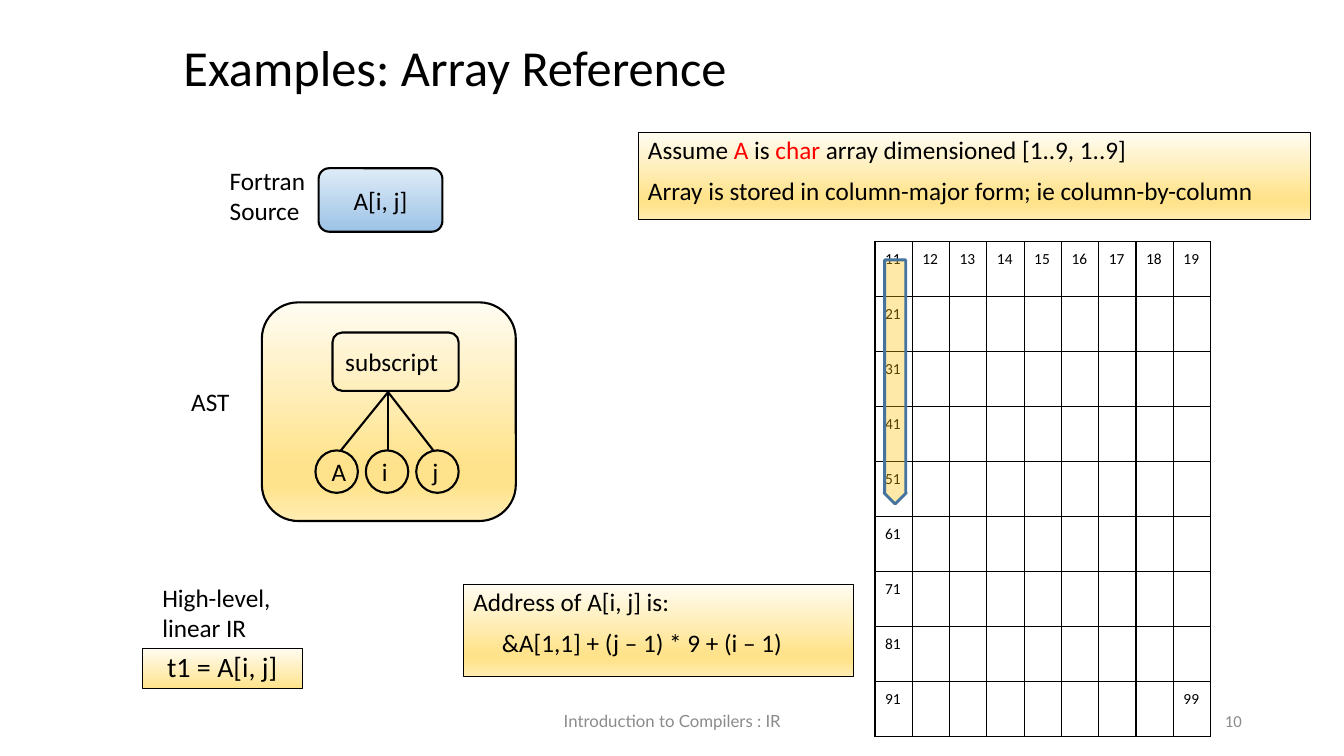
"""Builds the slide on array references, their AST, linear IR and address formula."""
from lxml.etree import SubElement
from pptx import Presentation
from pptx.dml.color import RGBColor
from pptx.enum.shapes import MSO_CONNECTOR, MSO_SHAPE
from pptx.enum.text import MSO_ANCHOR, PP_ALIGN
from pptx.oxml.ns import qn
from pptx.util import Cm, Pt

COLOURS = {
    "black": "000000", "red": "FF0000", "grey": "8B8B8B",
    "cream": "FFFCF2", "gold": "FFE38C", "pale gold": "FFECB2",
    "light blue": "DEEBF7", "blue": "9DC3E6",
    "arrow": "FFC000", "arrow edge": "43739E",
}
GOLD_BAND = [(0, "cream"), (74, "gold"), (83, "gold"), (100, "pale gold")]
GOLD_FADE = [(0, "cream"), (100, "gold")]
BLUE_FADE = [(0, "light blue"), (100, "blue")]


def add_box(kind, left, top, width, height, line_width, stops=()):
    """Adds an outlined shape, filled with a downward gradient if stops are given."""
    shape = slide.shapes.add_shape(kind, Cm(left), Cm(top), Cm(width), Cm(height))
    shape.shadow.inherit = False
    shape.line.color.rgb = RGBColor.from_string(COLOURS["black"])
    shape.line.width = Pt(line_width)
    if not stops:
        shape.fill.background()
        return shape
    shape.fill.gradient()
    shape.fill.gradient_angle = 270
    stop_list = shape._element.spPr.find(qn("a:gradFill")).find(qn("a:gsLst"))
    for old_stop in list(stop_list):
        stop_list.remove(old_stop)
    for position, colour in stops:
        stop = SubElement(stop_list, qn("a:gs"), pos=str(position * 1000))
        SubElement(stop, qn("a:srgbClr"), val=COLOURS[colour])
    return shape


def write(shape, text, size=18, colour="black", font="Calibri", align=PP_ALIGN.LEFT,
          anchor=MSO_ANCHOR.TOP, wrap=True, spacing=None):
    """Fills a shape or cell with text, one paragraph a line."""
    frame = shape.text_frame
    frame.word_wrap = wrap
    frame.vertical_anchor = anchor
    frame.text = text
    for index, paragraph in enumerate(frame.paragraphs):
        paragraph.alignment = align
        paragraph.line_spacing = spacing
        if index:
            paragraph.space_before = Pt(10)
        paragraph.font.name = font
        paragraph.font.size = Pt(size)
        paragraph.font.color.rgb = RGBColor.from_string(COLOURS[colour])
    return frame


presentation = Presentation()
presentation.slide_width = Cm(33.87)
presentation.slide_height = Cm(19.05)
slide = presentation.slides.add_slide(presentation.slide_layouts[5])

title = slide.shapes.title
title.left, title.top, title.width, title.height = Cm(4.37), Cm(0.61), Cm(21.89), Cm(2.31)
write(title, "Examples: Array Reference", size=36, anchor=MSO_ANCHOR.MIDDLE, spacing=0.9)

add_box(MSO_SHAPE.ROUNDED_RECTANGLE, 6.6, 7.62, 6.4, 5.51, 1.5, GOLD_BAND)
subscript = add_box(MSO_SHAPE.ROUNDED_RECTANGLE, 8.38, 8.38, 3.18, 1.47, 1.5)
write(subscript, "subscript", anchor=MSO_ANCHOR.MIDDLE, wrap=False)

for index, (name, branch_end) in enumerate([("A", 8.59), ("i", 9.78), ("j", 10.92)]):
    leaf = add_box(MSO_SHAPE.OVAL, 7.95 + 1.27 * index, 11.35, 1.07, 1.07, 1.5)
    write(leaf, name, anchor=MSO_ANCHOR.MIDDLE, wrap=False)
    branch = slide.shapes.add_connector(
        MSO_CONNECTOR.STRAIGHT, Cm(9.78), Cm(9.88), Cm(branch_end), Cm(11.35))
    branch.line.color.rgb = RGBColor.from_string(COLOURS["black"])
    branch.line.width = Pt(1.5)
    SubElement(branch._element.spPr, qn("a:effectLst"))

for text, left, top, width, height in [
    ("AST", 4.57, 9.6, 2.24, 1.02),
    ("High-level, linear IR", 3.84, 14.55, 4.04, 1.78),
    ("Fortran Source", 5.54, 4.04, 2.46, 2.54),
]:
    write(slide.shapes.add_textbox(Cm(left), Cm(top), Cm(width), Cm(height)), text)

for text, left, width, font, align in [
    ("Introduction to Compilers : IR", 11.23, 11.43, "Lato", PP_ALIGN.CENTER),
    ("10", 23.93, 7.62, "Calibri", PP_ALIGN.RIGHT),
]:
    footer = slide.shapes.add_textbox(Cm(left), Cm(17.65), Cm(width), Cm(1.02))
    write(footer, text, 12, "grey", font, align, MSO_ANCHOR.MIDDLE)

source = add_box(MSO_SHAPE.ROUNDED_RECTANGLE, 8.03, 4.24, 3.12, 1.6, 1.5, BLUE_FADE)
write(source, "A[i, j]", align=PP_ALIGN.CENTER, anchor=MSO_ANCHOR.MIDDLE, wrap=False)

linear_code = add_box(MSO_SHAPE.RECTANGLE, 3.58, 16.33, 4.04, 1.02, 0.75, GOLD_FADE)
write(linear_code, "t1 = A[i, j]", size=20, align=PP_ALIGN.CENTER, spacing=0.9)

assumption = add_box(MSO_SHAPE.RECTANGLE, 16.08, 3.35, 16.94, 2.18, 0.75, GOLD_BAND)
frame = write(
    assumption, "\nArray is stored in column-major form; ie column-by-column", spacing=0.9)
for text, colour in [("Assume ", "black"), ("A", "red"), (" is ", "black"), ("char", "red"),
                     (" array dimensioned [1..9, 1..9]", "black")]:
    run = frame.paragraphs[0].add_run()
    run.text = text
    run.font.color.rgb = RGBColor.from_string(COLOURS[colour])

address = add_box(MSO_SHAPE.RECTANGLE, 11.68, 14.73, 9.83, 2.31, 0.75, GOLD_BAND)
frame = write(
    address, "Address of A[i, j] is:\n&A[1,1] + (j – 1) * 9 + (i – 1)", spacing=0.9)
frame.paragraphs[1]._p.get_or_add_pPr().set("marL", str(Cm(0.72)))

size = 9
table = slide.shapes.add_table(
    size, size, Cm(22.05), Cm(6.09), Cm(0.94 * size), Cm(1.38 * size)).table
table.first_row = False
table.horz_banding = False
for column in table.columns:
    column.width = Cm(0.94)
for row_number, row in enumerate(table.rows, 1):
    row.height = Cm(1.385)
    for column_number, cell in enumerate(row.cells, 1):
        shown = 1 in (row_number, column_number) or row_number == column_number == size
        write(cell, f"{row_number}{column_number}" if shown else "", size=11, spacing=Pt(16))
        cell.fill.background()
        properties = cell._tc.get_or_add_tcPr()
        for index, side in enumerate(["a:lnL", "a:lnR", "a:lnT", "a:lnB"]):
            border = SubElement(properties, qn(side), w=str(Pt(0.96)))
            SubElement(SubElement(border, qn("a:solidFill")), qn("a:srgbClr"),
                       val=COLOURS["black"])
            properties.insert(index, border)

arrow = add_box(MSO_SHAPE.DOWN_ARROW, 22.28, 6.55, 0.56, 6.15, 2)
arrow.adjustments[0] = 0.95
arrow.adjustments[1] = 0.5
arrow.line.color.rgb = RGBColor.from_string(COLOURS["arrow edge"])
arrow.fill.solid()
arrow.fill.fore_color.rgb = RGBColor.from_string(COLOURS["arrow"])
arrow_colour = arrow._element.spPr.find(qn("a:solidFill")).find(qn("a:srgbClr"))
SubElement(arrow_colour, qn("a:alpha"), val="34000")

presentation.save("out.pptx")
